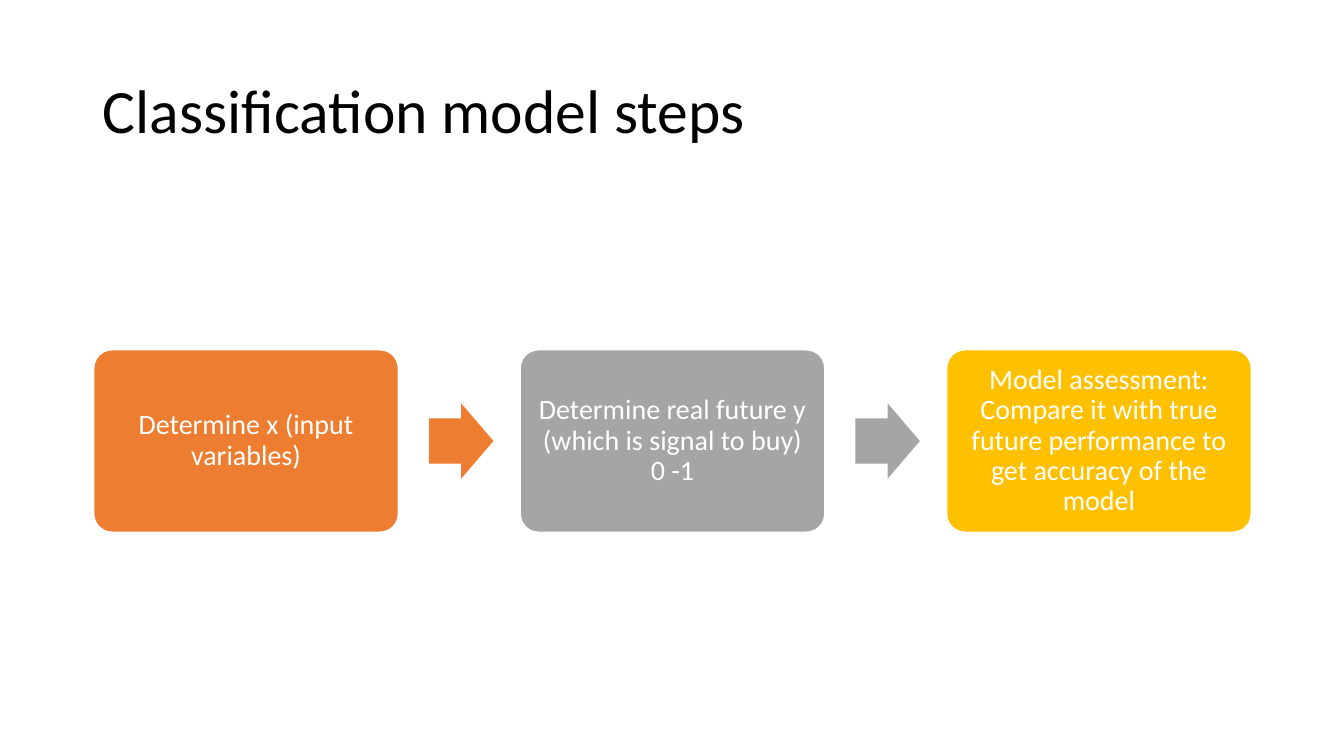
import pptx
import pptx.util
import pptx.dml.color
import pptx.enum.shapes
import pptx.enum.text

Inches, Pt = pptx.util.Inches, pptx.util.Pt
SHAPE = pptx.enum.shapes.MSO_SHAPE
MIDDLE = pptx.enum.text.MSO_ANCHOR.MIDDLE
ALIGN = pptx.enum.text.PP_ALIGN

FONT = "Calibri"
COLORS = {"title": "000000", "white": "FFFFFF",
          "orange": "ED7D31", "gray": "A5A5A5", "gold": "FFC000"}
STEPS = [
    ("Determine x (input variables)", "orange"),
    ("Determine real future y (which is signal to buy) 0 -1", "gray"),
    ("Model assessment: Compare it with true future performance "
     "to get accuracy of the model", "gold"),
]


def rgb(name):
    return pptx.dml.color.RGBColor.from_string(COLORS[name])


def set_text(shape, text, size, color, align, inset_x, inset_y):
    tf = shape.text_frame
    tf.text = text
    tf.word_wrap = True
    tf.auto_size = pptx.enum.text.MSO_AUTO_SIZE.NONE
    tf.vertical_anchor = MIDDLE
    tf.margin_left = tf.margin_right = Inches(inset_x)
    tf.margin_top = tf.margin_bottom = Inches(inset_y)
    p = tf.paragraphs[0]
    p.alignment = align
    p.line_spacing = 0.9
    font = p.runs[0].font
    font.name, font.size = FONT, Pt(size)
    font.color.rgb = rgb(color)


def add_title(s, text, left, top, width, height):
    title = s.shapes.title
    title.left, title.top = Inches(left), Inches(top)
    title.width, title.height = Inches(width), Inches(height)
    set_text(title, text, 44, "title", ALIGN.LEFT, 0.1, 0.05)


def add_filled(s, kind, left, top, width, height, color, adjustments):
    sp = s.shapes.add_shape(kind, Inches(left), Inches(top),
                            Inches(width), Inches(height))
    sp.shadow.inherit = False
    sp.fill.solid()
    sp.fill.fore_color.rgb = rgb(color)
    sp.line.fill.background()
    for i, value in enumerate(adjustments):
        sp.adjustments[i] = value
    return sp


def add_process(s, steps, left, top, width, height):
    """Spread step boxes over the width, with an arrow in each gap."""
    gap_share = 0.4
    box_w = width / (len(steps) + gap_share * (len(steps) - 1))
    pitch = box_w * (1 + gap_share)
    arrow_w, arrow_h = 0.212 * box_w, 0.248 * box_w
    for i, (text, color) in enumerate(steps):
        x = left + i * pitch
        box = add_filled(s, SHAPE.ROUNDED_RECTANGLE, x, top, box_w, height,
                         color, [0.1])
        box.line.color.rgb = rgb("white")
        box.line.width = Pt(1)
        set_text(box, text, 20, "white", ALIGN.CENTER, 0.08, 0.08)
        if i < len(steps) - 1:
            add_filled(s, SHAPE.RIGHT_ARROW, x + 1.1 * box_w,
                       top + (height - arrow_h) / 2, arrow_w, arrow_h,
                       color, [0.6, 0.5])


def main():
    prs = pptx.Presentation()
    prs.slide_width, prs.slide_height = Inches(13.33), Inches(7.5)
    s = prs.slides.add_slide(prs.slide_layouts[5])
    add_title(s, "Classification model steps", 0.92, 0.4, 11.5, 1.45)
    add_process(s, STEPS, 0.93, 3.47, 11.48, 1.81)
    prs.save("out.pptx")


if __name__ == "__main__":
    main()
